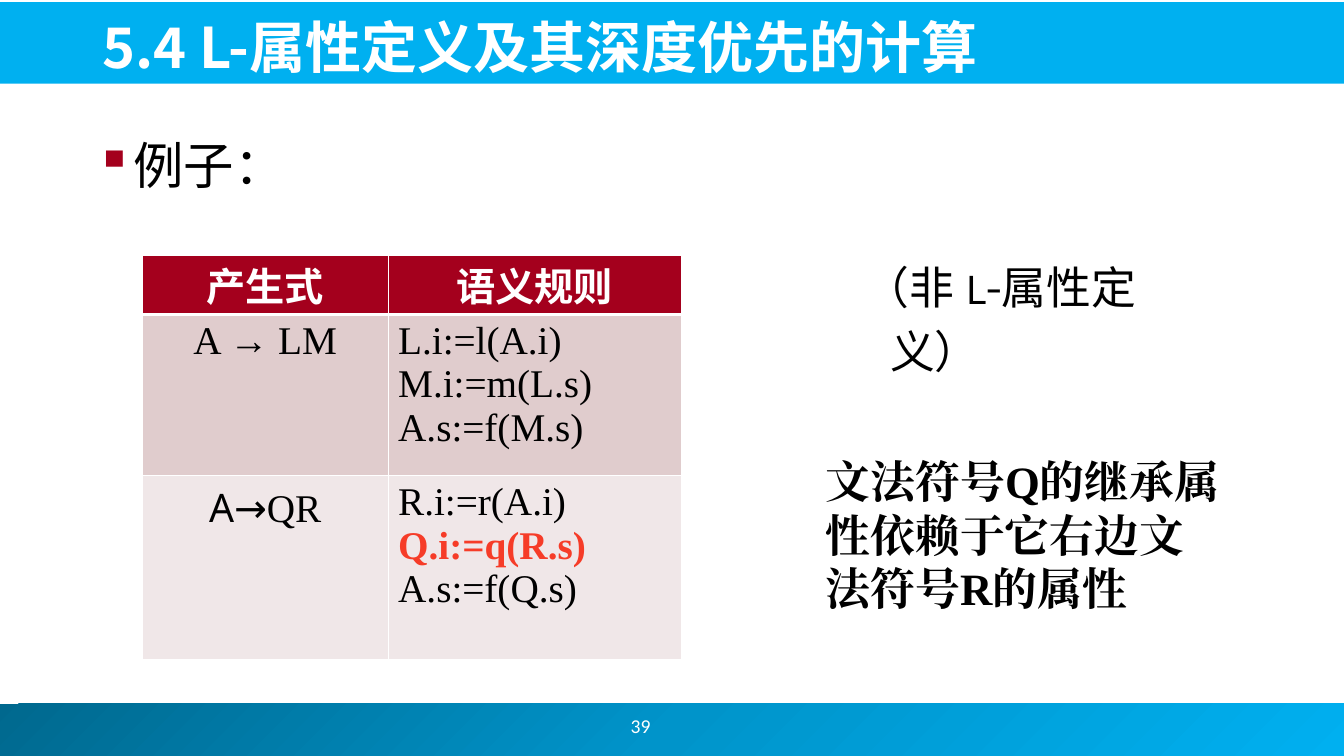
"""Builds the lecture slide on L-attributed definitions."""
from copy import deepcopy
from dataclasses import dataclass

from lxml import etree
from pptx import Presentation
from pptx import util as u
from pptx.dml.color import RGBColor
from pptx.enum import shapes, text
from pptx.oxml.ns import qn


@dataclass(frozen=True)
class Theme:
    white: str = "FFFFFF"
    black: str = "000000"
    sky: str = "00B0F0"
    footer: tuple = ("00688E", "0094CA", "00B0F0")
    crimson: str = "A4001D"
    bands: tuple = ("E0CCCD", "F0E7E8")
    alert: str = "F63C28"
    cjk: str = "Noto Sans CJK JP"
    sans: str = "Noto Sans"
    serif: str = "Times New Roman"
    note: str = "Karla"
    number: str = "Calibri"
    title_size: int = 40
    body_size: int = 36
    note_size: int = 32
    table_size: int = 28
    number_size: int = 14


T = Theme()
CENTER = text.PP_ALIGN.CENTER


def rgb(color):
    return RGBColor.from_string(color)


def write(p, content, size, font, color=T.black, bold=False, align=None,
          spacing=None, indent=None, bullet=None):
    if align is not None:
        p.alignment = align
    if spacing:
        p.line_spacing = spacing
    if indent:
        pPr = p._p.get_or_add_pPr()
        pPr.set("marL", str(u.Inches(indent[0])))
        pPr.set("indent", str(u.Inches(indent[1])))
    if bullet:
        pPr = p._p.get_or_add_pPr()
        clr = etree.SubElement(pPr, qn("a:buClr"))
        etree.SubElement(clr, qn("a:srgbClr")).set("val", T.crimson)
        etree.SubElement(pPr, qn("a:buChar")).set("char", bullet)
    r = p.add_run()
    r.text = content
    r.font.size = u.Pt(size)
    r.font.bold = bold
    r.font.color.rgb = rgb(color)
    r.font.name = font
    etree.SubElement(r._r.get_or_add_rPr(), qn("a:ea")).set("typeface", font)


class Deck:
    """Places elements in percent of the slide's width and height."""

    def __init__(self):
        self.prs = Presentation()
        self.prs.slide_width = u.Inches(13.33)
        self.prs.slide_height = u.Inches(7.5)
        self.s = self.prs.slides.add_slide(self.prs.slide_layouts[6])

    def x(self, share):
        return round(self.prs.slide_width * share / 100)

    def y(self, share):
        return round(self.prs.slide_height * share / 100)

    def box(self, left, top, width, height):
        return self.x(left), self.y(top), self.x(width), self.y(height)

    def bar(self, at, colors):
        sp = self.s.shapes.add_shape(shapes.MSO_SHAPE.RECTANGLE, *self.box(*at))
        sp.shadow.inherit = False
        sp.line.fill.background()
        if len(colors) == 1:
            sp.fill.solid()
            sp.fill.fore_color.rgb = rgb(colors[0])
            return
        sp.fill.gradient()
        sp.fill.gradient_angle = 315
        stops = sp._element.spPr.find(".//" + qn("a:gsLst"))
        while len(stops) < len(colors):
            stops.append(deepcopy(stops[0]))
        for i, (stop, color) in enumerate(zip(sp.fill.gradient_stops, colors)):
            stop.position = i / (len(colors) - 1)
            stop.color.rgb = rgb(color)

    def label(self, at, content, size, font, anchor=text.MSO_ANCHOR.TOP, **fmt):
        tf = self.s.shapes.add_textbox(*self.box(*at)).text_frame
        tf.word_wrap = True
        tf.vertical_anchor = anchor
        write(tf.paragraphs[0], content, size, font, **fmt)

    def border(self, cell, bottom):
        tcPr = cell._tc.get_or_add_tcPr()
        for i, (side, width) in enumerate(
                (("lnL", 1), ("lnR", 1), ("lnT", 1), ("lnB", bottom))):
            ln = etree.Element(qn("a:" + side), w=str(u.Pt(width)))
            fill = etree.SubElement(ln, qn("a:solidFill"))
            etree.SubElement(fill, qn("a:srgbClr")).set("val", T.white)
            tcPr.insert(i, ln)

    def table(self, at, cols, rows, fills, cells):
        table = self.s.shapes.add_table(len(rows), len(cols), *self.box(*at)).table
        for col, width in zip(table.columns, cols):
            col.width = self.x(width)
        for i, height in enumerate(rows):
            table.rows[i].height = self.y(height)
            for j, lines in enumerate(cells[i]):
                cell = table.cell(i, j)
                cell.fill.solid()
                cell.fill.fore_color.rgb = rgb(fills[i])
                self.border(cell, bottom=1 if i else 3)
                for k, runs in enumerate(lines):
                    tf = cell.text_frame
                    p = tf.add_paragraph() if k else tf.paragraphs[0]
                    for content, fmt in runs:
                        write(p, content, T.table_size, **fmt)


def main():
    d = Deck()
    d.bar((-0.38, 93.07, 100.45, 6.93), T.footer)
    d.bar((-0.15, 0.27, 100.23, 10.8), (T.sky,))
    d.label((36.83, 92.67, 21.68, 6.67), "39", T.number_size, T.number,
            anchor=text.MSO_ANCHOR.MIDDLE, color=T.white, align=CENTER)
    d.label((6.9, 0.67, 89.8, 10.53), "5.4 L-属性定义及其深度优先的计算",
            T.title_size, T.cjk, anchor=text.MSO_ANCHOR.BOTTOM,
            color=T.white, bold=True)
    d.label((2.63, 15.47, 68.57, 11.47), "例子：", T.body_size, T.cjk,
            spacing=1.2, indent=(0.81, -0.31), bullet="▪")
    d.label((56.11, 32.27, 35.78, 10.53), "（非 L-属性定义）", T.note_size,
            T.note, spacing=1.2, indent=(1.25, -0.25))

    head = dict(font=T.sans, color=T.white, bold=True, align=CENTER)
    rule = dict(font=T.serif)
    wrong = dict(font=T.serif, color=T.alert, bold=True)
    prod = dict(font=T.serif, align=CENTER)
    arrow = dict(font=T.sans, align=CENTER)
    d.table((10.58, 33.73, 40.13, 53.47), (18.3, 21.83), (7.87, 21.33, 24.27),
            (T.crimson, *T.bands), [
        [[[("产生式", head)]], [[("语义规则", head)]]],
        [[[("A → LM", prod)]],
         [[("L.i:=l(A.i)", rule)], [("M.i:=m(L.s)", rule)], [("A.s:=f(M.s)", rule)]]],
        [[[("A→", arrow), ("QR", prod)]],
         [[("R.i:=r(A.i)", rule)], [("Q.i:=q(R.s)", wrong)], [("A.s:=f(Q.s)", rule)]]],
    ])
    d.label((60.69, 59.33, 31.21, 22.93),
            "文法符号Q的继承属性依赖于它右边文法符号R的属性",
            T.note_size, T.serif, bold=True)
    d.prs.save("out.pptx")


if __name__ == "__main__":
    main()
